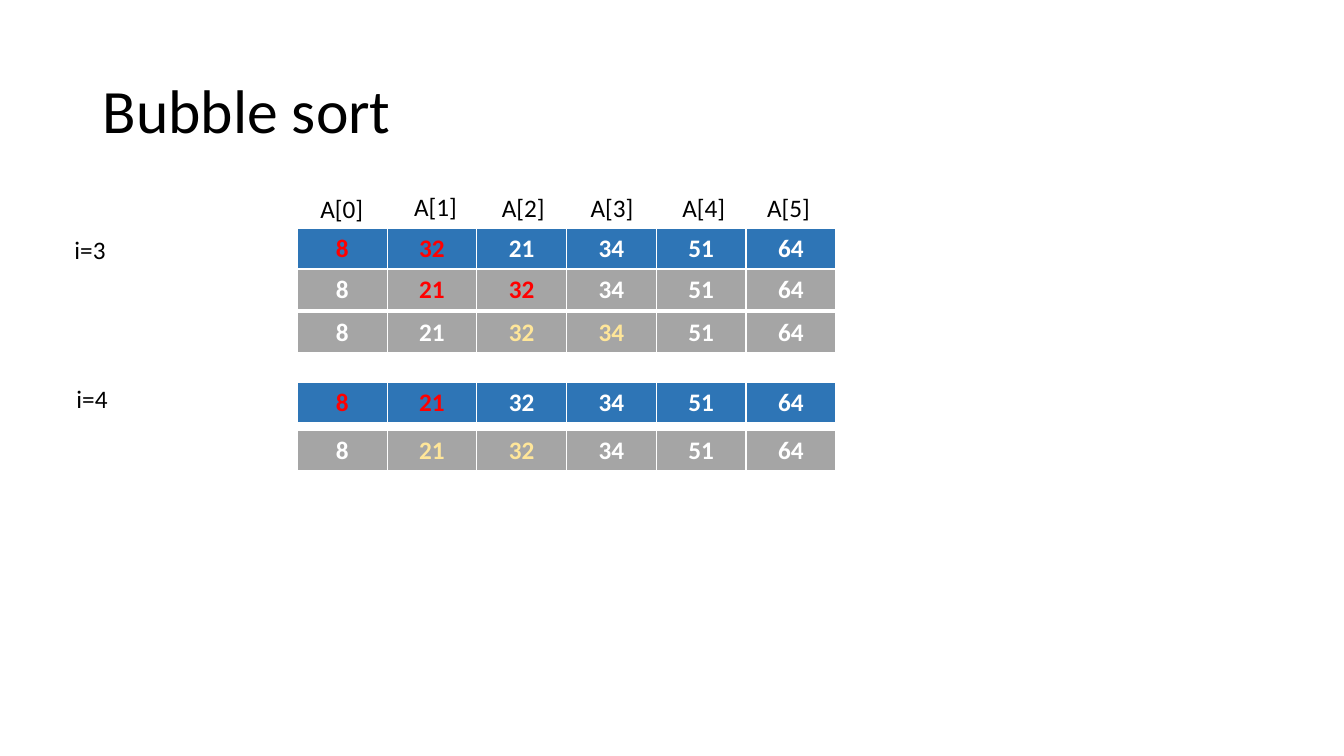
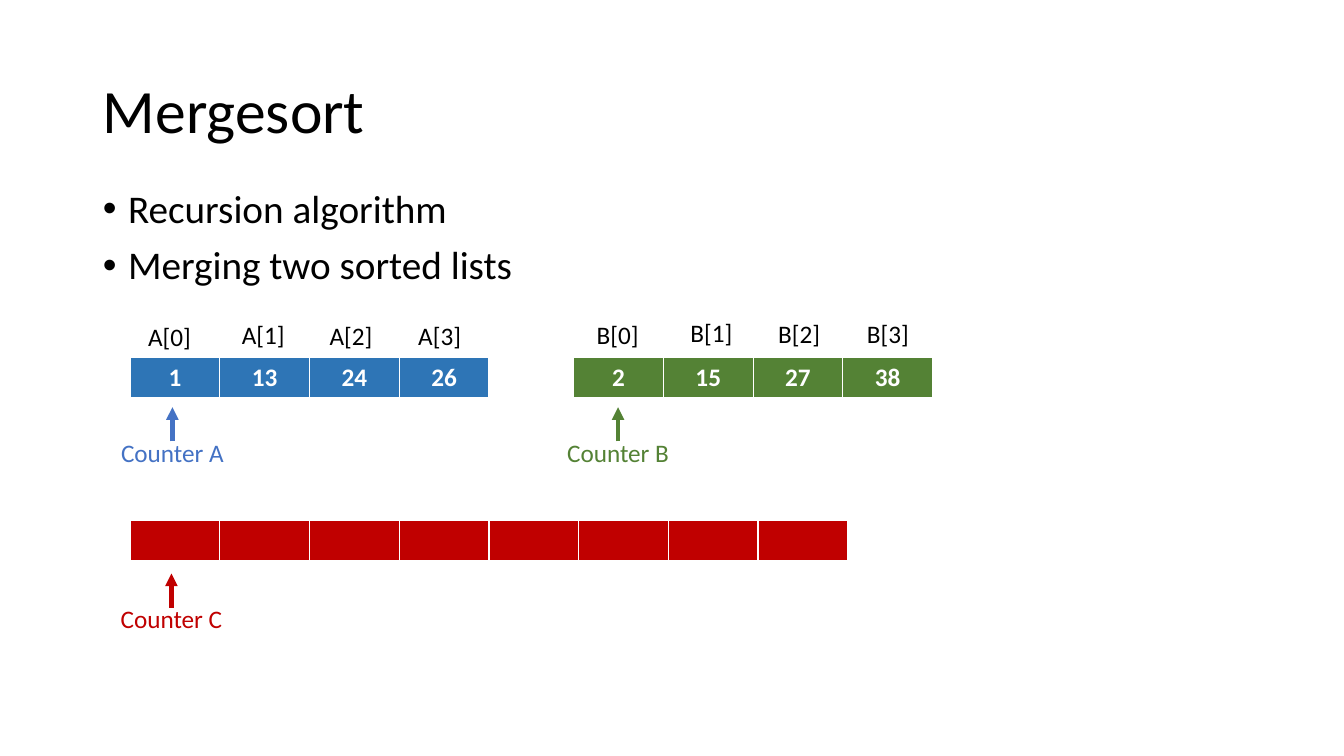
from lxml.etree import SubElement
from pptx import Presentation
from pptx.dml.color import RGBColor
from pptx.enum.shapes import MSO_CONNECTOR
from pptx.enum.text import MSO_ANCHOR, MSO_AUTO_SIZE, PP_ALIGN
from pptx.oxml.ns import qn
from pptx.util import Inches, Pt

FONT = "Calibri"
COLORS = {
    "black": "000000", "white": "FFFFFF", "gray": "A5A5A5", "blue": "2E75B6",
    "sky": "4472C4", "green": "548235", "crimson": "C00000",
    "red": "FF0000", "sand": "FFE699",
}
CELL = 0.89
ROW = 0.41
# Steps of the index labels, across and down from the first column
STEPS = [(0, 0.02), (0.93, 0), (1.8, 0.01), (2.68, 0.01), (3.59, 0.01), (4.43, 0.01)]


def rgb(name):
    return RGBColor.from_string(COLORS[name])


def style(para, size=18, color="black", bold=False, align=PP_ALIGN.LEFT):
    para.alignment = align
    font = para.font
    font.name, font.size, font.bold = FONT, Pt(size), bold
    font.color.rgb = rgb(color)


def place(shape, left, top, width, height):
    shape.left, shape.top = Inches(left), Inches(top)
    shape.width, shape.height = Inches(width), Inches(height)


def start(deck, layout, title):
    """Add a slide and set its title."""
    slide = deck.slides.add_slide(deck.slide_layouts.get_by_name(layout))
    head = slide.shapes.title
    place(head, 0.92, 0.4, 11.5, 1.45)
    frame = head.text_frame
    frame.text = title
    frame.auto_size = MSO_AUTO_SIZE.NONE
    frame.vertical_anchor = MSO_ANCHOR.MIDDLE
    para = frame.paragraphs[0]
    para.line_spacing = 0.9
    style(para, 44)
    return slide


def bullets(body, lines):
    place(body, 0.92, 1.83, 11.5, 4.76)
    frame = body.text_frame
    frame.text = "\n".join(lines)
    frame.auto_size = MSO_AUTO_SIZE.NONE
    for para in frame.paragraphs:
        style(para, 28)
        para.line_spacing, para.space_before = 0.9, Pt(10)
        props = para._p.get_or_add_pPr()
        props.set("marL", str(Inches(0.25)))
        props.set("indent", str(Inches(-0.25)))
        SubElement(props, qn("a:buFont")).set("typeface", "Arial")
        SubElement(props, qn("a:buChar")).set("char", "•")


def label(shapes, text, left, top, width, color="black", align=PP_ALIGN.LEFT):
    box = shapes.add_textbox(Inches(left), Inches(top), Inches(width), Inches(0.4))
    frame = box.text_frame
    frame.text = text
    frame.word_wrap = False
    frame.auto_size = MSO_AUTO_SIZE.SHAPE_TO_FIT_TEXT
    style(frame.paragraphs[0], color=color, align=align)


def indices(slide, name, count, left, top):
    """Label the columns of an array: name[0], name[1] and so on."""
    group = slide.shapes.add_group_shape()
    for i, (right, down) in enumerate(STEPS[:count]):
        label(group.shapes, f"{name}[{i}]", left + right, top + down, 0.63)


def edge(cell):
    props = cell._tc.get_or_add_tcPr()
    for side, width in zip("LRTB", (1, 1, 1, 3)):
        line = SubElement(props, qn(f"a:ln{side}"), w=str(Pt(width)))
        fill = SubElement(line, qn("a:solidFill"))
        SubElement(fill, qn("a:srgbClr"), val=COLORS["white"])


def array(slide, values, left, top, fill, marked=(), mark="red"):
    """Draw one row of cells; the marked columns get their own text colour."""
    count = len(values)
    frame = slide.shapes.add_table(1, count, Inches(left), Inches(top),
                                   Inches(CELL * count), Inches(ROW))
    table = frame.table
    table.first_row = table.horz_banding = False
    for i, value in enumerate(values):
        table.columns[i].width = Inches(CELL)
        cell = table.cell(0, i)
        cell.text = str(value)
        edge(cell)
        cell.fill.solid()
        cell.fill.fore_color.rgb = rgb(fill)
        style(cell.text_frame.paragraphs[0], bold=True, align=PP_ALIGN.CENTER,
              color=mark if i in marked else "white")


def counter(slide, name, mid, top, color):
    """Draw an upward arrow with its caption below."""
    shapes = slide.shapes.add_group_shape().shapes
    arrow = shapes.add_connector(MSO_CONNECTOR.STRAIGHT, Inches(mid), Inches(top + 0.34),
                                 Inches(mid), Inches(top))
    arrow.line.color.rgb = rgb(color)
    arrow.line.width = Pt(3)
    SubElement(arrow.line._get_or_add_ln(), qn("a:tailEnd"), type="triangle")
    SubElement(arrow._element.spPr, qn("a:effectLst"))
    label(shapes, f"Counter {name}", mid - 0.61, top + 0.25, 1.22, color, PP_ALIGN.CENTER)


def bubble(deck):
    slide = start(deck, "Title Only", "Bubble sort")
    left = 2.95
    indices(slide, "A", 6, left + 0.13, 1.85)
    label(slide.shapes, "i=3", 0.64, 2.28, 0.51)
    label(slide.shapes, "i=4", 0.66, 3.75, 0.51)
    passes = [
        (2.27, (8, 32, 21), "blue", (0, 1), "red"),
        (2.67, (8, 21, 32), "gray", (1, 2), "red"),
        (3.1, (8, 21, 32), "gray", (2, 3), "sand"),
        (3.79, (8, 21, 32), "blue", (0, 1), "red"),
        (4.27, (8, 21, 32), "gray", (1, 2), "sand"),
    ]
    for top, front, fill, marked, mark in passes:
        array(slide, front + (34, 51, 64), left, top, fill, marked, mark)


def merge(deck):
    slide = start(deck, "Title and Content", "Mergesort")
    bullets(slide.placeholders[1], ["Recursion algorithm", "Merging two sorted lists"])
    left, top = 1.29, 3.55
    array(slide, (1, 13, 24, 26), left, top, "blue")
    array(slide, (2, 15, 27, 38), left + 4.4, top, "green")
    indices(slide, "A", 4, left + 0.08, top - 0.43)
    indices(slide, "B", 4, left + 4.53, top - 0.45)
    counter(slide, "A", left + 0.42, top + 0.49, "sky")
    counter(slide, "B", left + 4.84, top + 0.49, "green")
    array(slide, [""] * 8, left, 5.16, "crimson")
    counter(slide, "C", left + 0.41, 5.69, "crimson")


def main():
    deck = Presentation()
    deck.slide_width, deck.slide_height = Inches(13.33), Inches(7.5)
    bubble(deck)
    merge(deck)
    deck.save("out.pptx")


if __name__ == "__main__":
    main()
